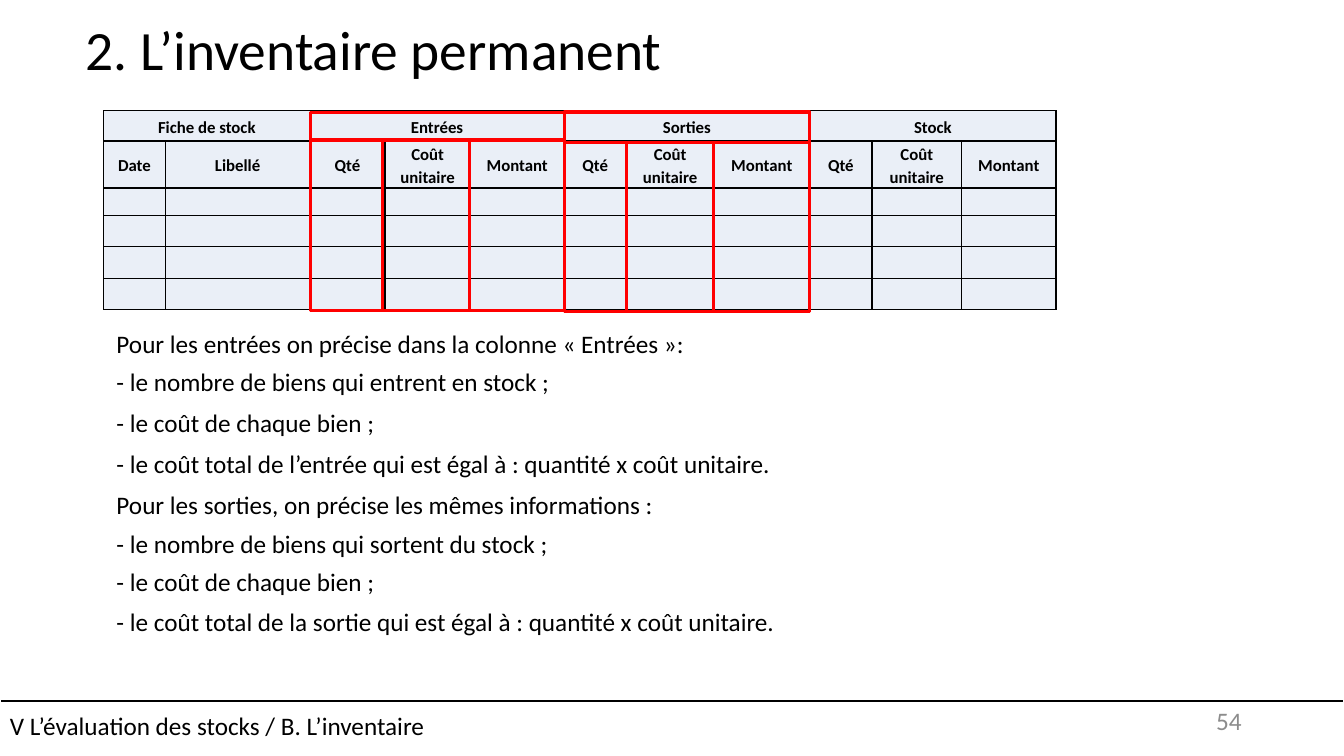
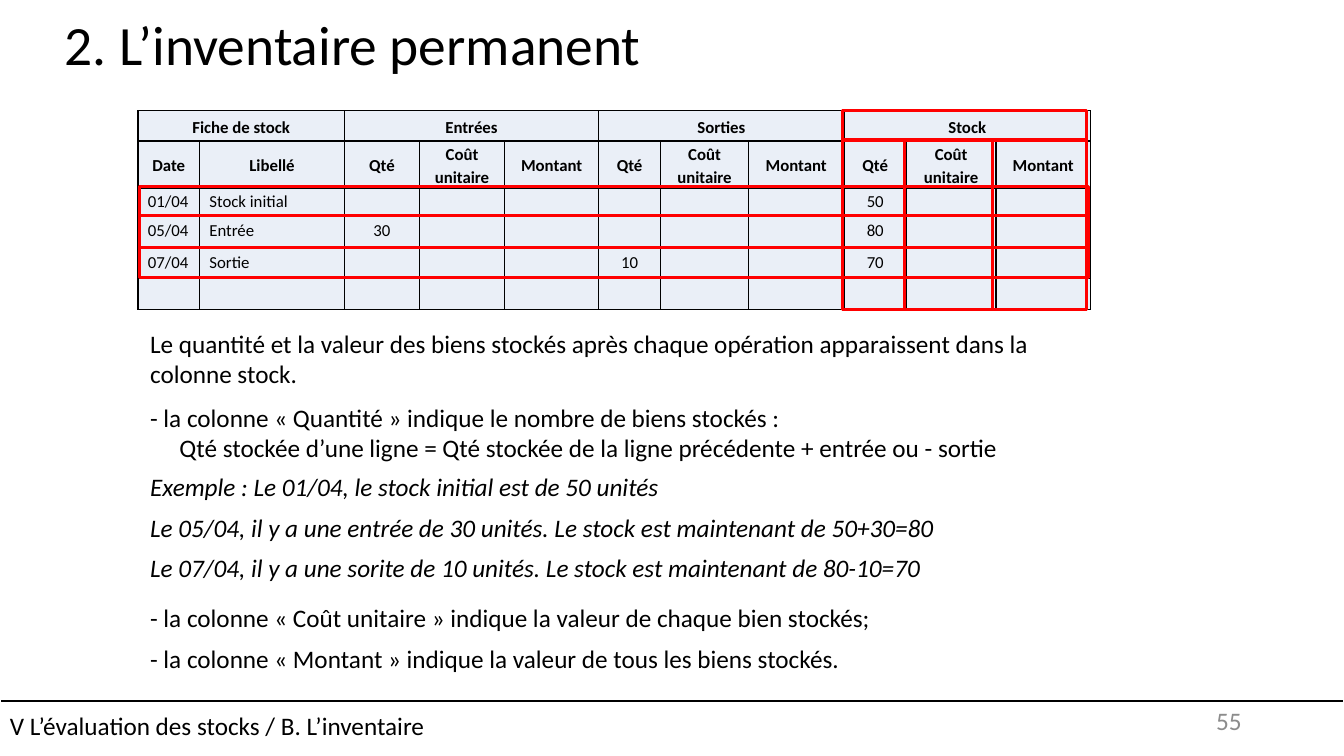
import itertools
from dataclasses import dataclass

import lxml.etree
import pptx
import pptx.dml.color
import pptx.enum.shapes
import pptx.enum.text
import pptx.oxml.ns
import pptx.presentation
import pptx.shapes.base
import pptx.slide
import pptx.table
import pptx.text.text
import pptx.util

Pt = pptx.util.Pt
qn = pptx.oxml.ns.qn
ALIGN = pptx.enum.text.PP_ALIGN
ANCHOR = pptx.enum.text.MSO_ANCHOR
RECTANGLE = pptx.enum.shapes.MSO_SHAPE.RECTANGLE

COLORS = {"text": "000000", "cell": "EAEFF7", "frame": "FF0000",
          "footer_edge": "FFFFFF", "number": "8C8C8C"}
FONT = "Calibri"
SLIDE_WIDTH, SLIDE_HEIGHT = 960, 540
FOOTER_LINE_TOP = 500.4
TITLE = "2. L’inventaire permanent"
FOOTER = "V L’évaluation des stocks / B. L’inventaire"

TABLE_TOP = 79.2
COLUMN_WIDTHS = (44, 103.5, 53.5, 61, 67, 44.5, 62.5, 68.5, 44.5, 64, 67.5)
ROW_HEIGHTS = (21.5, 33, 19.5, 22.5, 22.5, 22.5)
GROUPS = (("Fiche de stock", 2), ("Entrées", 3), ("Sorties", 3), ("Stock", 3))
HEADINGS = ("Date", "Libellé") + ("Qté", "Coût unitaire", "Montant") * 3
HEADER_ROWS = 2
LABEL_COLUMNS = 2


@dataclass(frozen=True)
class Line:
    text: str
    space_before: float = 0
    italic: bool = False
    indent: float = 0


@dataclass(frozen=True)
class ColumnFrames:
    """Red frames around the columns of one group, and around the group."""
    top: float
    columns_top: float
    bottom: float
    edges: tuple[float, ...]


@dataclass(frozen=True)
class RowFrames:
    left: float
    width: float
    edges: tuple[float, ...]


@dataclass(frozen=True)
class StockSlide:
    number: int
    title_left: float
    title_top: float
    table_left: float
    body_left: float
    entries: dict[tuple[int, int], str]
    lines: tuple[Line, ...]
    column_frames: tuple[ColumnFrames, ...]
    row_frames: tuple[RowFrames, ...] = ()


SLIDES = (
    StockSlide(
        number=54, title_left=54, title_top=12, table_left=74, body_left=76,
        entries={},
        lines=(
            Line("Pour les entrées on précise dans la colonne « Entrées »:"),
            Line("- le nombre de biens qui entrent en stock ;", 5.5),
            Line("- le coût de chaque bien ;", 7.5),
            Line("- le coût total de l’entrée qui est égal à : quantité x coût unitaire.", 7.5),
            Line("Pour les sorties, on précise les mêmes informations :", 8),
            Line("- le nombre de biens qui sortent du stock ;", 6),
            Line("- le coût de chaque bien ;", 5.5),
            Line("- le coût total de la sortie qui est égal à : quantité x coût unitaire.", 7.5),
        ),
        column_frames=(
            ColumnFrames(80.5, 100, 222, (221.8, 273, 335.3, 403.2)),
            ColumnFrames(80, 101.5, 222.5, (403.2, 447.5, 509.5, 578.5)),
        ),
    ),
    StockSlide(
        number=55, title_left=39, title_top=8.5, table_left=98.6, body_left=100,
        entries={
            (2, 0): "01/04", (2, 1): "Stock initial", (2, 8): "50",
            (3, 0): "05/04", (3, 1): "Entrée", (3, 2): "30", (3, 8): "80",
            (4, 0): "07/04", (4, 1): "Sortie", (4, 5): "10", (4, 8): "70",
        },
        lines=(
            Line("Le quantité et la valeur des biens stockés après chaque opération "
                 "apparaissent dans la colonne stock."),
            Line("- la colonne « Quantité » indique le nombre de biens stockés :", 9.5),
            Line("Qté stockée d’une ligne = Qté stockée de la ligne précédente "
                 "+ entrée ou - sortie", indent=21),
            Line("Exemple : Le 01/04, le stock initial est de 50 unités", 6.5, italic=True),
            Line("Le 05/04, il y a une entrée de 30 unités. "
                 "Le stock est maintenant de 50+30=80", 7.5, italic=True),
            Line("Le 07/04, il y a une sorite de 10 unités. "
                 "Le stock est maintenant de 80-10=70", 7, italic=True),
            Line("- la colonne « Coût unitaire » indique la valeur de chaque bien stockés;", 14),
            Line("- la colonne « Montant » indique la valeur de tous les biens stockés.", 7.5),
        ),
        column_frames=(ColumnFrames(79.2, 100, 221, (602, 646, 709, 776)),),
        row_frames=(RowFrames(99.4, 678.2, (133.2, 154, 176.7, 198)),),
    ),
)


def rgb(name: str) -> pptx.dml.color.RGBColor:
    return pptx.dml.color.RGBColor.from_string(COLORS[name])


def place(shape: pptx.shapes.base.BaseShape, left: float, top: float,
          width: float, height: float) -> None:
    shape.left, shape.top = Pt(left), Pt(top)
    shape.width, shape.height = Pt(width), Pt(height)


def style(paragraph: pptx.text.text._Paragraph, size: float, color: str = "text",
          bold: bool = False, italic: bool = False) -> None:
    font = paragraph.font
    font.name, font.size, font.bold, font.italic = FONT, Pt(size), bold, italic
    font.color.rgb = rgb(color)


def add_title(slide: pptx.slide.Slide, left: float, top: float) -> None:
    title = slide.shapes.title
    place(title, left, top, 648, 51)
    frame = title.text_frame
    frame.text = TITLE
    frame.auto_size = pptx.enum.text.MSO_AUTO_SIZE.NONE
    frame.vertical_anchor = ANCHOR.MIDDLE
    paragraph = frame.paragraphs[0]
    paragraph.alignment, paragraph.line_spacing = ALIGN.LEFT, 0.9
    style(paragraph, 39.6)


def add_body(slide: pptx.slide.Slide, left: float, lines: tuple[Line, ...]) -> None:
    body = slide.placeholders[1]
    place(body, left, 231, 678, 262)
    frame = body.text_frame
    frame.text = "\n".join(line.text for line in lines)
    frame.auto_size = pptx.enum.text.MSO_AUTO_SIZE.NONE
    frame.vertical_anchor = ANCHOR.TOP
    for paragraph, line in zip(frame.paragraphs, lines):
        properties = paragraph._p.get_or_add_pPr()
        properties.set("marL", "0")
        properties.set("indent", str(int(Pt(line.indent))))
        lxml.etree.SubElement(properties, qn("a:buNone"))
        paragraph.alignment = ALIGN.LEFT
        paragraph.space_before = Pt(line.space_before)
        style(paragraph, 18, italic=line.italic)


def set_borders(cell: pptx.table._Cell) -> None:
    properties = cell._tc.get_or_add_tcPr()
    for side in ("lnL", "lnR", "lnT", "lnB"):
        border = lxml.etree.SubElement(properties, qn(f"a:{side}"), w=str(int(Pt(1))))
        fill = lxml.etree.SubElement(border, qn("a:solidFill"))
        lxml.etree.SubElement(fill, qn("a:srgbClr"), val=COLORS["text"])


def fill_cell(cell: pptx.table._Cell, text: str, header: bool, label: bool) -> None:
    set_borders(cell)
    cell.fill.solid()
    cell.fill.fore_color.rgb = rgb("cell")
    cell.vertical_anchor = ANCHOR.MIDDLE
    cell.margin_top = cell.margin_bottom = 0
    cell.margin_left = cell.margin_right = Pt(7 if label else 3.6)
    cell.text = text
    paragraph = cell.text_frame.paragraphs[0]
    paragraph.alignment = ALIGN.LEFT if label else ALIGN.CENTER
    paragraph.line_spacing = 1.15 if header else 1.0
    style(paragraph, 12, bold=header)
    if not text:
        # The end mark keeps an empty row from growing to the default size.
        lxml.etree.SubElement(paragraph._p, qn("a:endParaRPr"), sz="1200")


def add_stock_table(slide: pptx.slide.Slide, left: float,
                    entries: dict[tuple[int, int], str]) -> None:
    table = slide.shapes.add_table(
        len(ROW_HEIGHTS), len(COLUMN_WIDTHS), Pt(left), Pt(TABLE_TOP),
        Pt(sum(COLUMN_WIDTHS)), Pt(sum(ROW_HEIGHTS))).table
    table.first_row = table.horz_banding = False
    for column, width in zip(table.columns, COLUMN_WIDTHS):
        column.width = Pt(width)
    for row, height in zip(table.rows, ROW_HEIGHTS):
        row.height = Pt(height)

    texts = {(1, column): heading for column, heading in enumerate(HEADINGS)} | entries
    first = 0
    for name, span in GROUPS:
        table.cell(0, first).merge(table.cell(0, first + span - 1))
        texts[0, first] = name
        first += span
    for row, column in itertools.product(range(len(ROW_HEIGHTS)), range(len(COLUMN_WIDTHS))):
        header = row < HEADER_ROWS
        fill_cell(table.cell(row, column), texts.get((row, column), ""),
                  header, not header and column < LABEL_COLUMNS)


def add_outline(slide: pptx.slide.Slide, left: float, top: float, width: float,
                height: float, color: str = "frame",
                weight: float = 2.25) -> pptx.shapes.base.BaseShape:
    """Add a rectangle without fill."""
    outline = slide.shapes.add_shape(RECTANGLE, Pt(left), Pt(top), Pt(width), Pt(height))
    outline.shadow.inherit = False
    outline.fill.background()
    outline.line.color.rgb = rgb(color)
    outline.line.width = Pt(weight)
    return outline


def add_column_frames(slide: pptx.slide.Slide, frames: ColumnFrames) -> None:
    for left, right in itertools.pairwise(frames.edges):
        add_outline(slide, left, frames.columns_top, right - left,
                    frames.bottom - frames.columns_top)
    add_outline(slide, frames.edges[0], frames.top, frames.edges[-1] - frames.edges[0],
                frames.bottom - frames.top)


def add_row_frames(slide: pptx.slide.Slide, frames: RowFrames) -> None:
    for top, bottom in itertools.pairwise(frames.edges):
        add_outline(slide, frames.left, top, frames.width, bottom - top)


def add_footer(slide: pptx.slide.Slide, number: int) -> None:
    line = slide.shapes.add_connector(
        pptx.enum.shapes.MSO_CONNECTOR.STRAIGHT,
        Pt(0), Pt(FOOTER_LINE_TOP), Pt(SLIDE_WIDTH), Pt(FOOTER_LINE_TOP))
    line.line.color.rgb = rgb("text")
    line.line.width = Pt(1.5)
    lxml.etree.SubElement(line._element.spPr, qn("a:effectLst"))

    band = add_outline(slide, 0, 496.8, SLIDE_WIDTH, 43.2, "footer_edge", 1)
    number_box = slide.shapes.add_textbox(Pt(678), Pt(FOOTER_LINE_TOP), Pt(216), Pt(28.8))
    for shape, text, alignment, color in (
            (band, FOOTER, ALIGN.LEFT, "text"),
            (number_box, str(number), ALIGN.RIGHT, "number")):
        frame = shape.text_frame
        frame.text = text
        frame.word_wrap = True
        frame.vertical_anchor = ANCHOR.MIDDLE
        frame.paragraphs[0].alignment = alignment
        style(frame.paragraphs[0], 18, color)


def add_stock_slide(presentation: pptx.presentation.Presentation,
                    content: StockSlide) -> None:
    slide = presentation.slides.add_slide(presentation.slide_layouts[1])
    add_title(slide, content.title_left, content.title_top)
    add_body(slide, content.body_left, content.lines)
    add_stock_table(slide, content.table_left, content.entries)
    for column_frames in content.column_frames:
        add_column_frames(slide, column_frames)
    for row_frames in content.row_frames:
        add_row_frames(slide, row_frames)
    add_footer(slide, content.number)


def main() -> None:
    presentation = pptx.Presentation()
    presentation.slide_width, presentation.slide_height = Pt(SLIDE_WIDTH), Pt(SLIDE_HEIGHT)
    for content in SLIDES:
        add_stock_slide(presentation, content)
    presentation.save("out.pptx")


if __name__ == "__main__":
    main()
